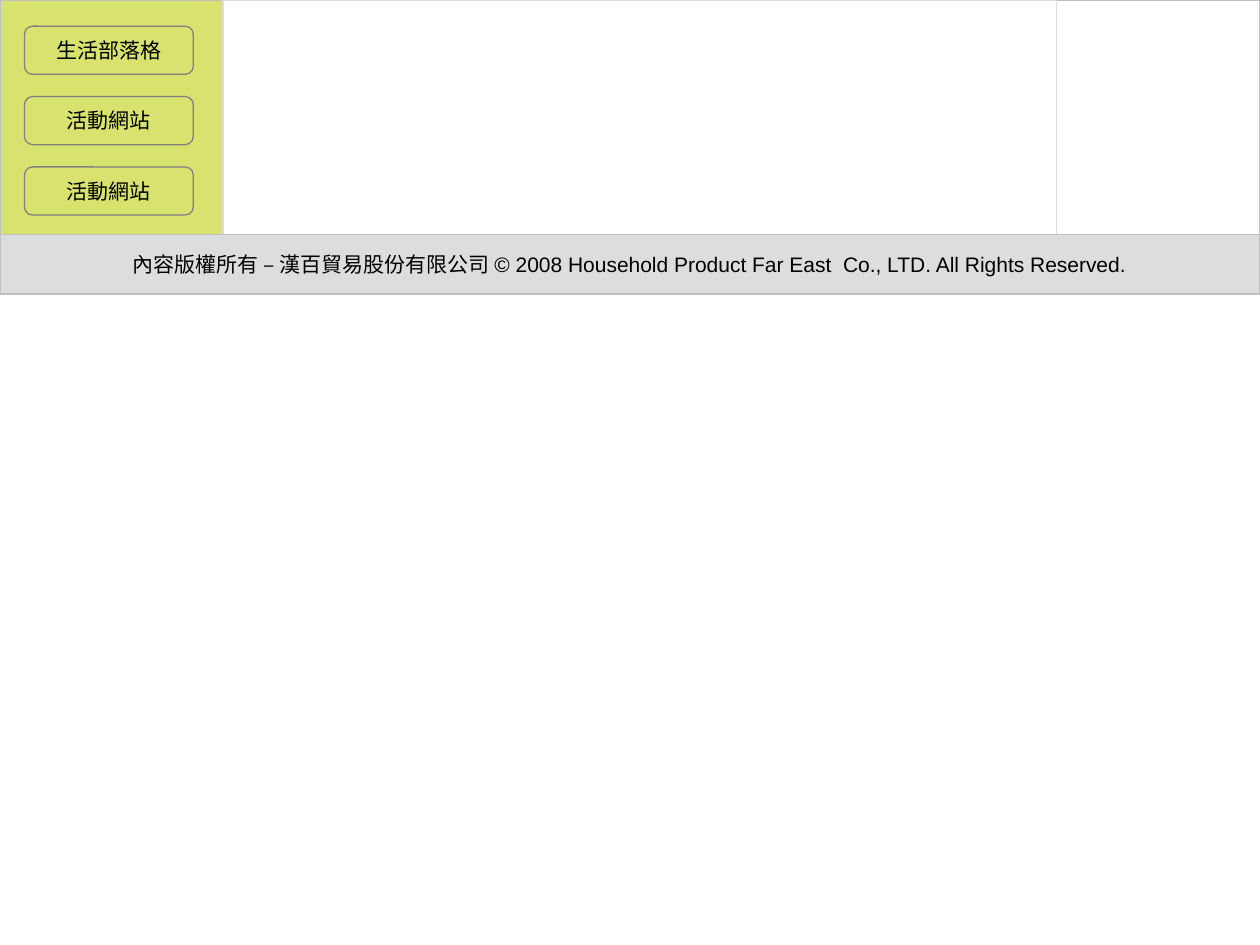
from dataclasses import dataclass

from pptx import Presentation
from pptx.dml.color import RGBColor
from pptx.enum.shapes import MSO_SHAPE
from pptx.enum.text import MSO_ANCHOR, PP_ALIGN
from pptx.util import Pt


@dataclass(frozen=True)
class Theme:
    lime: str = "D8E36F"
    white: str = "FFFFFF"
    pale: str = "DDDDDD"
    silver: str = "C0C0C0"
    gray: str = "808080"
    ink: str = "000000"
    font: str = "Arial"
    size: float = 12
    line: float = 0.75


THEME = Theme()
WIDTH, HEIGHT = 720, 540
SIDE, RIGHT, BASE = 127.5, 603.75, 134


def add_panel(slide, box, fill, line=None, kind=MSO_SHAPE.RECTANGLE):
    panel = slide.shapes.add_shape(kind, *map(Pt, box))
    panel.shadow.inherit = False
    panel.fill.solid()
    panel.fill.fore_color.rgb = RGBColor.from_string(fill)
    if line:
        panel.line.color.rgb = RGBColor.from_string(line)
        panel.line.width = Pt(THEME.line)
    else:
        panel.line.fill.background()
    return panel


def add_label(panel, text, pad_x, pad_y):
    frame = panel.text_frame
    frame.word_wrap = False
    frame.vertical_anchor = MSO_ANCHOR.MIDDLE
    frame.margin_left = frame.margin_right = Pt(pad_x)
    frame.margin_top = frame.margin_bottom = Pt(pad_y)
    label = frame.paragraphs[0]
    label.text = text
    label.alignment = PP_ALIGN.CENTER
    label.font.name = THEME.font
    label.font.size = Pt(THEME.size)
    label.font.color.rgb = RGBColor.from_string(THEME.ink)


def add_button(slide, top, text):
    button = add_panel(slide, (14, top, 96.5, 27.5), THEME.lime,
                       THEME.gray, MSO_SHAPE.ROUNDED_RECTANGLE)
    button.adjustments[0] = 0.17
    add_label(button, text, 4.3, 2.2)


def add_footer(slide, text):
    footer = add_panel(slide, (0, BASE, WIDTH, 34), THEME.pale, THEME.silver)
    add_label(footer, text, 7.2, 3.6)


def main():
    deck = Presentation()
    deck.slide_width, deck.slide_height = Pt(WIDTH), Pt(HEIGHT)
    slide = deck.slides.add_slide(deck.slide_layouts[6])
    add_panel(slide, (0, 0, WIDTH, 128), THEME.lime)
    add_panel(slide, (0, 0, SIDE, BASE), THEME.lime, THEME.silver)
    add_panel(slide, (RIGHT, 0, WIDTH - RIGHT, BASE), THEME.white, THEME.silver)
    add_panel(slide, (SIDE, 0, RIGHT - SIDE, BASE), THEME.white, THEME.pale)
    add_footer(slide, "內容版權所有 – 漢百貿易股份有限公司 © 2008 Household "
                      "Product Far East  Co., LTD. All Rights Reserved.")
    for row, text in enumerate(("生活部落格", "活動網站", "活動網站")):
        add_button(slide, 15 + 40.2 * row, text)
    deck.save("out.pptx")


if __name__ == "__main__":
    main()
